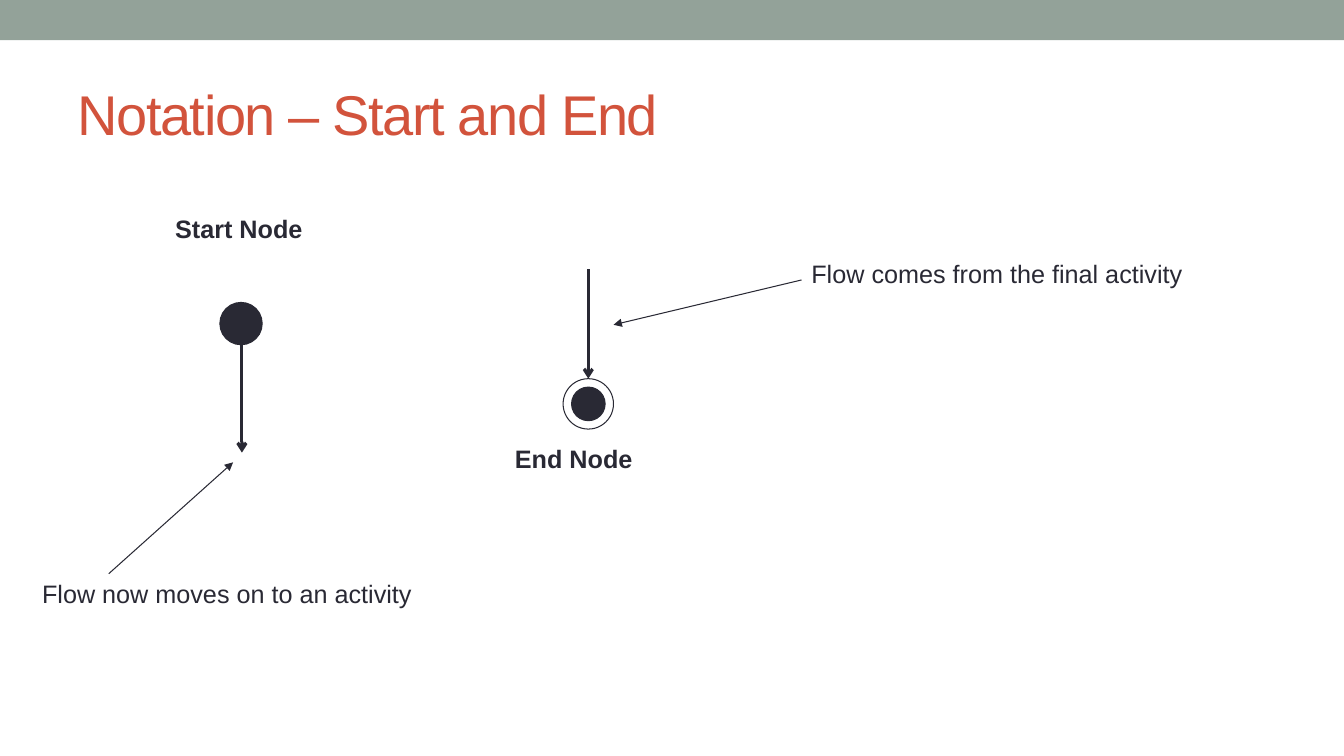
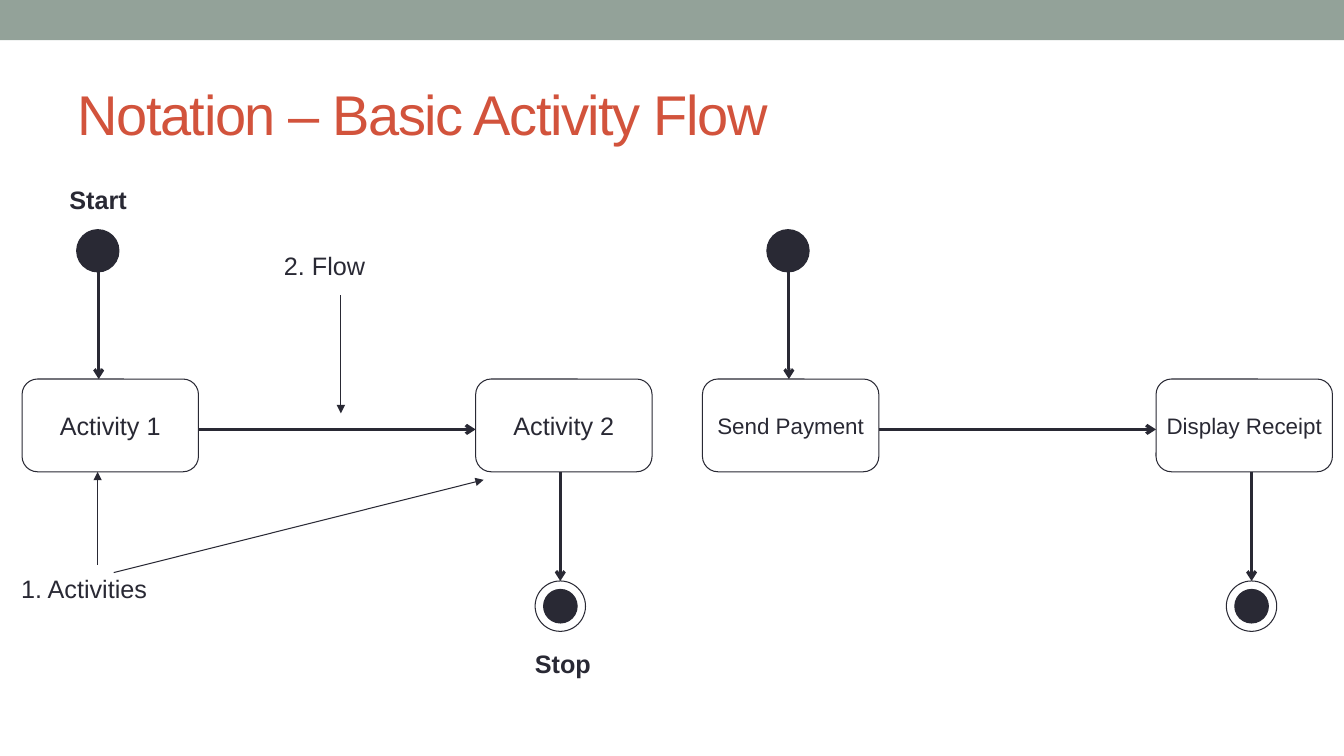
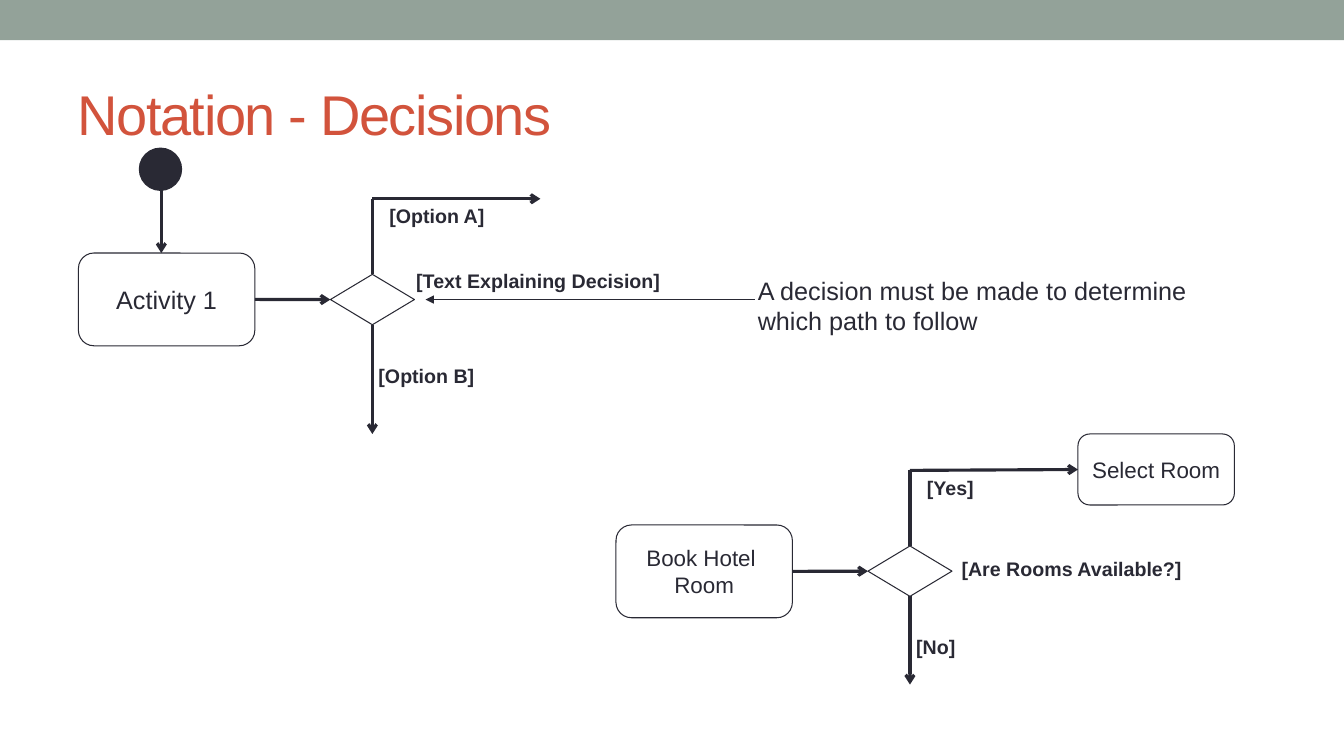
from lxml.etree import SubElement
from pptx import Presentation
from pptx.dml.color import RGBColor
from pptx.enum.shapes import MSO_CONNECTOR as CONN, MSO_SHAPE as SHAPE
from pptx.enum.text import MSO_ANCHOR as ANCHOR, MSO_AUTO_SIZE as AUTO, PP_ALIGN as ALIGN
from pptx.oxml.ns import qn
from pptx.util import Pt


class Deck:
    """Draw activity-diagram notation slides in one shared style, in points."""

    INK, PAPER, BAND, TITLE = "292934", "FFFFFF", "93A299", "D2533C"
    FONT = "Arial"
    BOX_W, BOX_H = 126, 66.25
    DISC, RING, DOT = 30.25, 36, 24
    DIAMOND_W, DIAMOND_H = 60, 36

    def __init__(self):
        self.prs = Presentation()
        self.prs.slide_width, self.prs.slide_height = Pt(960), Pt(540)
        self.s = None

    def paint(self, fill, color):
        fill.solid()
        fill.fore_color.rgb = RGBColor.from_string(color)

    def set_text(self, tf, text, size, color=INK, bold=False, align=ALIGN.LEFT, **frame):
        tf.text = text
        for name, value in frame.items():
            setattr(tf, name, value)
        for p in tf.paragraphs:
            p.alignment = align
            for r in p.runs:
                style = {"name": self.FONT, "size": Pt(size), "bold": bold}
                for name, value in style.items():
                    setattr(r.font, name, value)
                self.paint(r.font.fill, color)

    def slide(self, title):
        self.s = self.prs.slides.add_slide(self.prs.slide_layouts[5])
        if len(self.prs.slides) == 1:
            self.band()
        sp = self.s.shapes.title
        place = {"left": Pt(48), "top": Pt(42), "width": Pt(864), "height": Pt(78)}
        for name, value in place.items():
            setattr(sp, name, value)
        self.set_text(sp.text_frame, title, 40, self.TITLE,
                      vertical_anchor=ANCHOR.MIDDLE, auto_size=AUTO.NONE)
        for rPr in sp.element.iter(qn("a:rPr")):
            rPr.set("spc", "-100")

    def band(self):
        sp = self.shape(SHAPE.RECTANGLE, 0, 0, 960, 28.8, self.BAND, None)
        sp.element.nvSpPr.cNvPr.set("id", "100")
        self.prs.slide_master.shapes.element.insert(2, sp.element)

    def shape(self, kind, x, y, w, h, fill=PAPER, line=INK):
        sp = self.s.shapes.add_shape(kind, Pt(x), Pt(y), Pt(w), Pt(h))
        sp.shadow.inherit = False
        self.paint(sp.fill, fill)
        if line:
            self.paint(sp.line.fill, line)
            sp.line.width = Pt(0.75)
        else:
            sp.line.fill.background()
        return sp

    def label(self, text, x, y, w, size=18, bold=False, h=29):
        sp = self.s.shapes.add_textbox(Pt(x), Pt(y), Pt(w), Pt(h))
        self.set_text(sp.text_frame, text, size, bold=bold,
                      word_wrap=False, auto_size=AUTO.SHAPE_TO_FIT_TEXT)

    def activity(self, text, x, y, size=18, w=BOX_W, h=BOX_H):
        sp = self.shape(SHAPE.ROUNDED_RECTANGLE, x, y, w, h)
        self.set_text(sp.text_frame, text, size, align=ALIGN.CENTER,
                      vertical_anchor=ANCHOR.MIDDLE, word_wrap=False)
        return sp

    def line(self, x1, y1, x2, y2, width=2.25, head="arrow", begin=None, end=None):
        c = self.s.shapes.add_connector(CONN.STRAIGHT, Pt(x1), Pt(y1), Pt(x2), Pt(y2))
        self.paint(c.line.fill, self.INK)
        c.line.width = Pt(width)
        spPr = c.element.spPr
        if head:
            SubElement(spPr.get_or_add_ln(), qn("a:tailEnd"), type=head)
        SubElement(spPr, qn("a:effectLst"))
        if begin:
            c.begin_connect(*begin)
        if end:
            c.end_connect(*end)

    def pointer(self, x1, y1, x2, y2):
        self.line(x1, y1, x2, y2, 0.75, "triangle")

    def start(self, x, top, tip):
        self.shape(SHAPE.OVAL, x - 15.75, top, self.DISC, self.DISC, self.INK)
        self.line(x, top + 28.8, x, tip)

    def stop(self, x, tail, top):
        ring = self.shape(SHAPE.OVAL, x - self.RING / 2, top, self.RING, self.RING)
        inset = (self.RING - self.DOT) / 2
        self.shape(SHAPE.OVAL, x - self.DOT / 2, top + inset, self.DOT, self.DOT, self.INK)
        self.line(x, tail, x, top, end=(ring, 0))

    def flow(self, x, first, second, size, start_dx, stop_dx):
        top, gap = 270.75, 324
        self.activity(first, x, top, size)
        self.activity(second, x + gap, top, size)
        self.line(x + self.BOX_W, 306.75, x + gap, 306.75)
        self.start(x + start_dx, 164, top)
        self.stop(x + stop_dx, top + self.BOX_H, 415)

    def decision(self, source, x, y, up, down, drop, target=None):
        d = self.shape(SHAPE.DIAMOND, x, y, self.DIAMOND_W, self.DIAMOND_H)
        mid, bottom, bend = x + self.DIAMOND_W / 2, y + self.DIAMOND_H, y - 54
        side = y + self.DIAMOND_H / 2
        self.line(x - 54, side, x, side, begin=(source, 3), end=(d, 1))
        self.line(mid, y, mid, bend, head=None, begin=(d, 0))
        self.line(mid, bend, x + 150, bend, end=target and (target, 1))
        self.line(mid, bottom, mid, bottom + drop, begin=(d, 2))
        for (text, w), dx, dy in ((up, 35, -53.75), (down, 27.25, 60.25)):
            self.label(text, x + dx, y + dy, w, 14, True, 24.25)


def start_and_end(deck):
    deck.slide("Notation – Start and End")
    deck.label("Start Node", 118, 149, 106.5, bold=True)
    deck.start(172.8, 216, 323.3)
    deck.label("Flow now moves on to an activity", 23, 409.75, 280.75)
    deck.pointer(77.75, 409.75, 166.5, 330.25)
    deck.stop(420.25, 192.25, 270.5)
    deck.label("End Node", 360.75, 313.25, 99.25, bold=True)
    deck.label("Flow comes from the final activity", 572.5, 180.75, 287.25)
    deck.pointer(572.5, 200, 438.25, 232)


def basic_flow(deck):
    deck.slide("Notation – Basic Activity Flow")
    deck.flow(501.75, "Send Payment", "Display Receipt", 16, 61.75, 392.25)
    deck.flow(15.75, "Activity 1", "Activity 2", 18, 54.75, 384.5)
    deck.label("1. Activities", 8, 406, 105)
    deck.label("2. Flow", 195.75, 175, 73.5)
    for ends in ((69.75, 403.25, 69.75, 337),
                 (81.25, 409, 345.5, 342.75),
                 (243.5, 211, 243.5, 295.25)):
        deck.pointer(*ends)
    deck.label("Start", 42.5, 128.25, 56.25, bold=True)
    deck.label("Stop", 375, 459.25, 54.75, bold=True)


def decisions(deck):
    deck.slide("Notation - Decisions")
    source = deck.activity("Activity 1", 56, 180.75)
    deck.decision(source, 236, 196, ("[Option A]", 82.75), ("[Option B]", 83.5), 78)
    deck.label("A decision must be made to determine\nwhich path to follow",
               534.25, 193, 328.25, h=51)
    deck.pointer(539.25, 214, 304, 214)
    deck.start(115.25, 105.75, 180.75)
    deck.label("[Text Explaining Decision]", 290.25, 188.75, 189.25, 14, True, 24.25)

    source = deck.activity("Book Hotel \nRoom", 440, 375, 16)
    target = deck.activity("Select Room", 770, 310, 16, 111.75, 50.75)
    deck.decision(source, 620, 390, ("[Yes]", 48.25), ("[No]", 42.5), 63, target)
    deck.label("[Are Rooms Available?]", 679.75, 394.5, 172.75, 14, True, 24.25)


def main():
    deck = Deck()
    for build in (start_and_end, basic_flow, decisions):
        build(deck)
    deck.prs.save("out.pptx")


if __name__ == "__main__":
    main()
